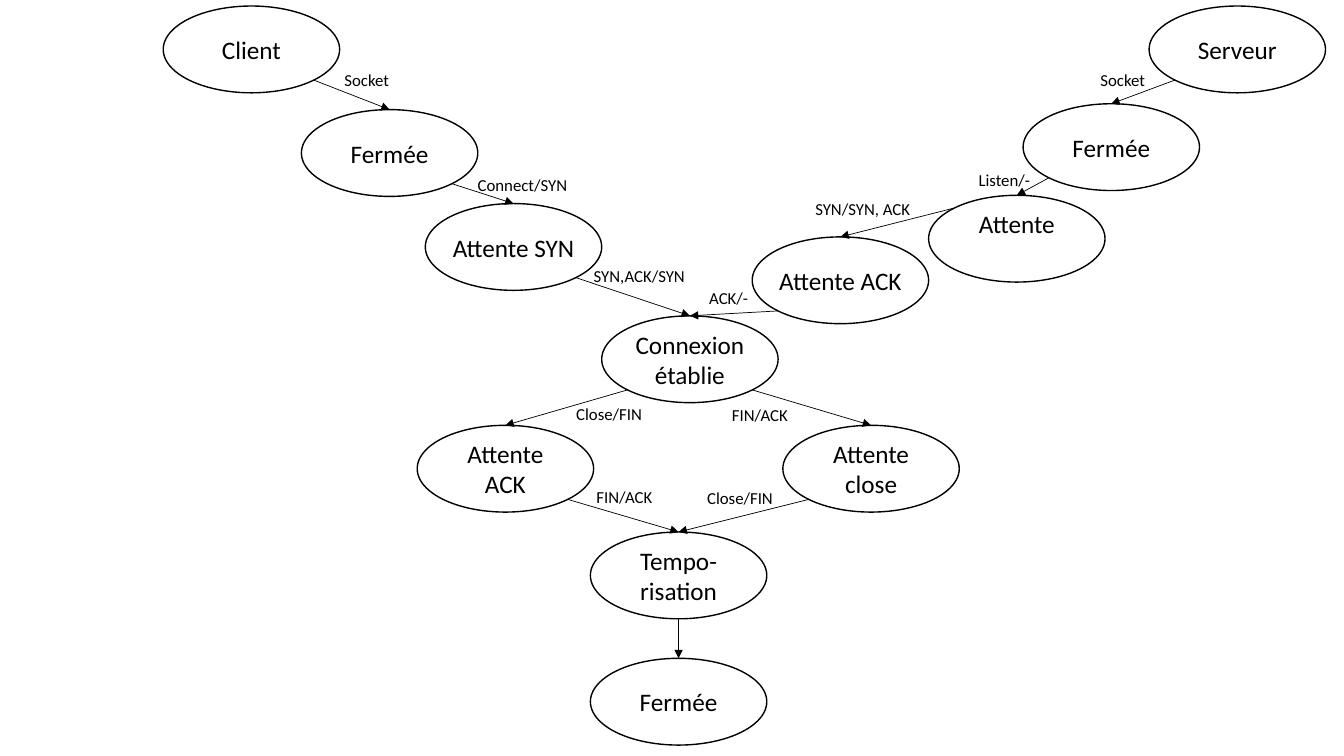
from lxml import etree
from pptx import Presentation
from pptx.dml.color import RGBColor
from pptx.enum.shapes import MSO_CONNECTOR, MSO_SHAPE
from pptx.enum.text import MSO_ANCHOR, MSO_AUTO_SIZE, PP_ALIGN
from pptx.oxml.ns import qn
from pptx.util import Pt

ELLIPSE, STRAIGHT = MSO_SHAPE.OVAL, MSO_CONNECTOR.STRAIGHT
MIDDLE, CENTER, LEFT = MSO_ANCHOR.MIDDLE, PP_ALIGN.CENTER, PP_ALIGN.LEFT
GROW = MSO_AUTO_SIZE.SHAPE_TO_FIT_TEXT

COLORS = {"ink": "000000"}
STATE_WIDTH, STATE_HEIGHT = 126, 62
LABEL_HEIGHT = 21.6
DIAGONAL = 0.5 ** 0.5
# Connection site of an ellipse: index, horizontal and vertical offset in radii
SITES = {
    "upper left": (1, -DIAGONAL, -DIAGONAL),
    "lower left": (3, -DIAGONAL, DIAGONAL),
    "bottom": (4, 0, 1),
    "lower right": (5, DIAGONAL, DIAGONAL),
}
TOP = 0


class Diagram:
    """Holds the style and the current slide."""

    def __init__(self, slide, font="Calibri"):
        self.shapes = slide.shapes
        self.font = font
        self.ink = RGBColor.from_string(COLORS["ink"])

    def set_text(self, shape, text, size, align, frame_format):
        frame = shape.text_frame
        for name, value in frame_format.items():
            setattr(frame, name, value)
        frame.text = text
        for para in frame.paragraphs:
            para.alignment = align
            for span in para.runs:
                for name, value in {"name": self.font, "size": Pt(size)}.items():
                    setattr(span.font, name, value)
                span.font.color.rgb = self.ink

    def set_line(self, line, width):
        line.color.rgb = self.ink
        line.width = Pt(width)

    def state(self, text, left, top, bottom_margin=0):
        ellipse = self.shapes.add_shape(
            ELLIPSE, Pt(left), Pt(top), Pt(STATE_WIDTH), Pt(STATE_HEIGHT))
        ellipse.shadow.inherit = False
        ellipse.fill.background()
        self.set_line(ellipse.line, 1)
        self.set_text(ellipse, text, 18, CENTER, {
            "word_wrap": True, "vertical_anchor": MIDDLE,
            "margin_left": 0, "margin_right": 0,
            "margin_top": 0, "margin_bottom": Pt(bottom_margin)})
        return ellipse

    def transition(self, start, site, end):
        index, across, down = SITES[site]
        x = start.left + int(start.width * (1 + across) / 2)
        y = start.top + int(start.height * (1 + down) / 2)
        arrow = self.shapes.add_connector(STRAIGHT, x, y, x, y)
        # Glue both ends to the states
        glue = arrow._element.nvCxnSpPr.cNvCxnSpPr
        etree.SubElement(glue, qn("a:stCxn"),
                         id=str(start.shape_id), idx=str(index))
        arrow.end_connect(end, TOP)
        # Arrowhead, and no shadow
        self.set_line(arrow.line, 0.5)
        properties = arrow._element.spPr
        etree.SubElement(properties.find(qn("a:ln")), qn("a:tailEnd"),
                         type="triangle", w="med", len="med")
        etree.SubElement(properties, qn("a:effectLst"))

    def label(self, text, left, top, width):
        box = self.shapes.add_textbox(
            Pt(left), Pt(top), Pt(width), Pt(LABEL_HEIGHT))
        self.set_text(box, text, 12, LEFT,
                      {"word_wrap": False, "auto_size": GROW})


deck = Presentation()
deck.slide_width, deck.slide_height = Pt(960), Pt(540)
diagram = Diagram(deck.slides.add_slide(deck.slide_layouts[6]))

# States: text, left, top and, where the text sits high, bottom margin
STATES = {
    "client": ("Client", 116.6, 4.3),
    "server": ("Serveur", 820.8, 4.3),
    "client closed": ("Fermée", 215.3, 78.3),
    "server closed": ("Fermée", 730.8, 74.1),
    "wait SYN": ("Attente SYN", 303.8, 145.4),
    "listening": ("Attente", 663.3, 139.5, 21.6),
    "wait ACK": ("Attente ACK", 537.3, 169.2),
    "connected": ("Connexion établie", 429.8, 225.6),
    "closing": ("Attente\nACK", 298, 303.8),
    "wait close": ("Attente close", 559.2, 303.8),
    "timer": ("Tempo-risation", 421.7, 380),
    "closed": ("Fermée", 421.7, 470.2),
}
states = {name: diagram.state(*values) for name, values in STATES.items()}

# Transitions: start, site it leaves from, end, then label text, left, top, width
TRANSITIONS = [
    ("client", "lower right", "client closed", ("Socket", 239, 46.4, 47)),
    ("server", "lower left", "server closed", ("Socket", 779, 46.4, 47)),
    ("client closed", "lower right", "wait SYN", ("Connect/SYN", 334.1, 121.2, 79)),
    ("server closed", "lower left", "listening", ("Listen/-", 691.9, 117.6, 52)),
    ("listening", "upper left", "wait ACK", ("SYN/SYN, ACK", 575.3, 138.6, 83)),
    ("wait SYN", "lower right", "connected", ("SYN,ACK/SYN", 417, 186.1, 81)),
    ("wait ACK", "lower left", "connected", ("ACK/-", 499.5, 201.9, 42.5)),
    ("connected", "lower left", "closing", ("Close/FIN", 404.5, 284.8, 62)),
    ("connected", "lower right", "wait close", ("FIN/ACK", 515.7, 285.3, 55)),
    ("closing", "lower right", "timer", ("FIN/ACK", 419, 344.3, 55)),
    ("wait close", "lower left", "timer", ("Close/FIN", 498, 344.5, 62)),
    ("timer", "bottom", "closed", None),
]
for start, site, end, label in TRANSITIONS:
    diagram.transition(states[start], site, states[end])
    if label:
        diagram.label(*label)

deck.save("out.pptx")
